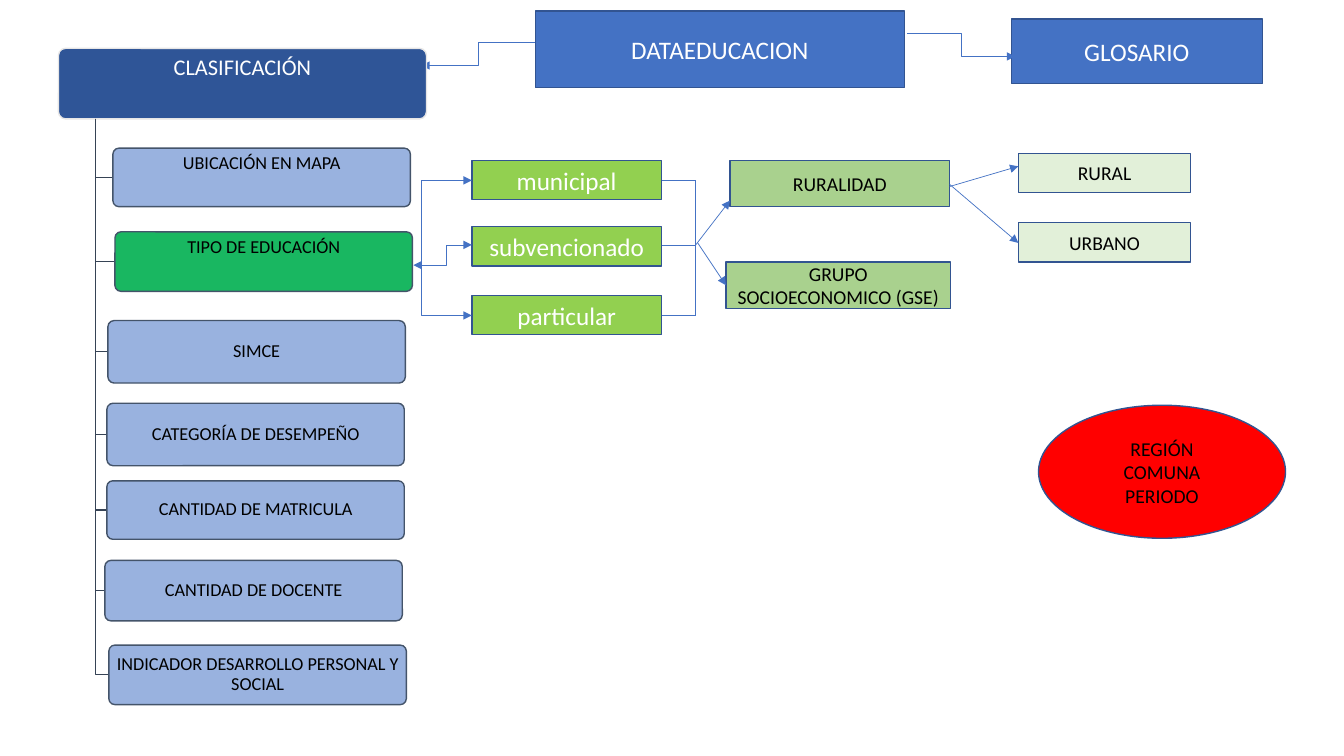
from lxml.etree import SubElement
from pptx import Presentation
from pptx.dml.color import RGBColor
from pptx.enum.shapes import MSO_CONNECTOR, MSO_SHAPE
from pptx.enum.text import MSO_ANCHOR, PP_ALIGN
from pptx.oxml.ns import qn
from pptx.util import Inches, Pt

deck = Presentation()
deck.slide_width = Inches(13.33)
deck.slide_height = Inches(7.5)
page = deck.slides.add_slide(deck.slide_layouts[6])
color = RGBColor.from_string


def add_box(text, place, fill, line="325491", size=14, ink="000000", kind=MSO_SHAPE.RECTANGLE,
            margins=(0.1, 0.05, 0.1, 0.05), spacing=1.0, opacity=100):
    box = page.shapes.add_shape(kind, *map(Inches, place))
    box.shadow.inherit = False
    box.fill.solid()
    box.fill.fore_color.rgb = color(fill)
    if opacity < 100:
        tint = box.fill._xPr.find(qn("a:solidFill"))[0]
        SubElement(tint, qn("a:alpha"), val=str(opacity * 1000))
    box.line.color.rgb = color(line)
    box.line.width = Pt(1)
    if kind == MSO_SHAPE.ROUNDED_RECTANGLE:
        box.adjustments[0] = 0.1
    frame = box.text_frame
    frame.word_wrap = True
    frame.vertical_anchor = MSO_ANCHOR.MIDDLE
    frame.margin_left, frame.margin_top, frame.margin_right, frame.margin_bottom = map(Inches, margins)
    frame.text = text
    for para in frame.paragraphs:
        para.alignment = PP_ALIGN.CENTER
        para.line_spacing = spacing
        for span in para.runs:
            span.font.name = "Calibri"
            span.font.size = Pt(size)
            span.font.color.rgb = color(ink)


def add_link(start, end, kind=MSO_CONNECTOR.STRAIGHT, arrow=True, bend=None):
    link = page.shapes.add_connector(kind, *map(Inches, (*start, *end)))
    link.line.color.rgb = color("4472C4")
    link.line.width = Pt(0.5)
    properties = link._element.spPr
    if arrow:
        SubElement(properties.find(qn("a:ln")), qn("a:tailEnd"), type="triangle")
    if bend is not None:
        guides = properties.find(qn("a:prstGeom")).find(qn("a:avLst"))
        SubElement(guides, qn("a:gd"), name="adj1", fmla=f"val {bend}")
    SubElement(properties, qn("a:effectLst"))


add_box("DATAEDUCACION", (5.31, 0.11, 3.66, 0.76), "4472C4", size=18, ink="FFFFFF")
add_box("GLOSARIO", (10.03, 0.19, 2.49, 0.64), "4472C4", size=18, ink="FFFFFF")
add_link((5.31, 0.42), (4.18, 0.65), MSO_CONNECTOR.ELBOW)
add_link((9, 0.33), (10.07, 0.56), MSO_CONNECTOR.ELBOW)

add_box("CLASIFICACIÓN", (0.58, 0.48, 3.65, 0.7), "2F5597", line="E7E6E6", size=16, ink="FFFFFF",
        kind=MSO_SHAPE.ROUNDED_RECTANGLE, margins=(0.03, 0.02, 0.03, 0.33), spacing=0.9)

trunk, trunk_top = 0.95, 1.18
categories = [
    ("UBICACIÓN EN MAPA", 1.12, 1.47, 0.58, "8FAADC", 0.29),
    ("TIPO DE EDUCACIÓN", 1.14, 2.3, 0.59, "00B050", 0.29),
    ("SIMCE", 1.07, 3.18, 0.62, "8FAADC", 0.02),
    ("CATEGORÍA DE DESEMPEÑO", 1.06, 4, 0.62, "8FAADC", 0.02),
    ("CANTIDAD DE MATRICULA", 1.06, 4.77, 0.58, "8FAADC", 0.02),
    ("CANTIDAD DE DOCENTE", 1.04, 5.56, 0.6, "8FAADC", 0.02),
    ("INDICADOR DESARROLLO PERSONAL Y SOCIAL", 1.08, 6.4, 0.59, "8FAADC", 0.02),
]
for name, left, top, height, fill, bottom in categories:
    middle = top + height / 2
    builder = page.shapes.build_freeform(Inches(trunk), Inches(trunk_top))
    builder.add_line_segments(
        [(Inches(trunk), Inches(middle)), (Inches(left), Inches(middle))], close=False)
    branch = builder.convert_to_shape()
    branch.shadow.inherit = False
    branch.fill.background()
    branch.line.color.rgb = color("364355")
    branch.line.width = Pt(1)
    add_box(name, (left, top, 2.95, height), fill, line="44546A", size=13,
            kind=MSO_SHAPE.ROUNDED_RECTANGLE, margins=(0.03, 0.02, 0.03, bottom),
            spacing=0.9, opacity=90)

fork = (4.18, 2.63)
joint = 6.9
schools = [("municipal", 1.59, 1.79, 0), ("subvencionado", 2.25, 2.43, 50000),
           ("particular", 2.93, 3.13, 0)]
for name, top, middle, bend in schools:
    add_box(name, (4.68, top, 1.88, 0.39), "92D050", size=18, ink="FFFFFF")
    add_link(fork, (4.68, middle), MSO_CONNECTOR.ELBOW, bend=bend)
    add_link((6.57, middle), (joint, middle), arrow=False)
add_link((4.27, 2.63), (4.1, 2.63))
add_link((joint, 1.79), (joint, 3.13), arrow=False)

add_box("RURALIDAD", (7.24, 1.59, 2.18, 0.46), "A9D18E")
add_box("GRUPO SOCIOECONOMICO (GSE)", (7.2, 2.6, 2.23, 0.46), "A9D18E")
add_box("RURAL", (10.1, 1.52, 1.71, 0.39), "E2F0D9")
add_box("URBANO", (10.1, 2.21, 1.71, 0.39), "E2F0D9")
for start, end in [((joint, 2.43), (7.24, 1.99)), ((6.92, 2.41), (7.2, 2.83)),
                   ((9.42, 1.85), (10.1, 1.65)), ((9.42, 1.83), (10.1, 2.41))]:
    add_link(start, end)

add_box("REGIÓN\nCOMUNA\nPERIODO", (10.3, 4.02, 2.45, 1.32), "FF0000", kind=MSO_SHAPE.OVAL)

deck.save("out.pptx")
